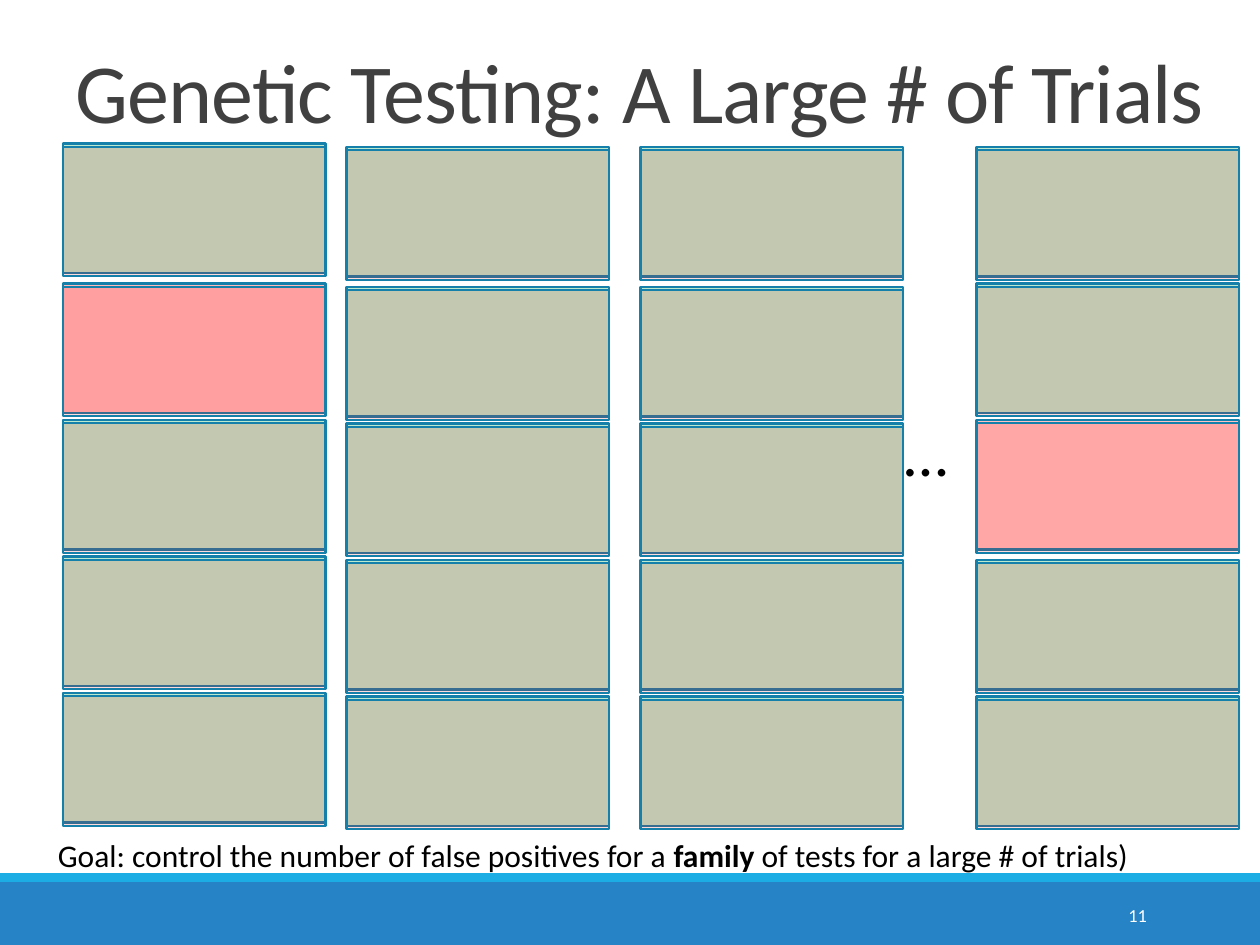
from itertools import product

from pptx import Presentation
from pptx.dml.color import RGBColor
from pptx.enum.shapes import MSO_SHAPE
from pptx.enum.text import MSO_ANCHOR, MSO_AUTO_SIZE as AUTO_SIZE, PP_ALIGN
from pptx.oxml.ns import qn
from pptx.util import Pt

BLUE = RGBColor(0x26, 0x83, 0xC6)
CYAN = RGBColor(0x1C, 0xAD, 0xE4)
OUTLINE = RGBColor(0x15, 0x80, 0xA9)
GREEN = RGBColor(0x00, 0xB0, 0x50)
RED = RGBColor(0xFF, 0x00, 0x00)
GRAY = RGBColor(0x40, 0x40, 0x40)
BLACK = RGBColor(0x00, 0x00, 0x00)
WHITE = RGBColor(0xFF, 0xFF, 0xFF)

COLUMN_LEFTS = (36, 198, 366, 558)
ROW_TOPS = (82, 162, 240, 318, 396)
TRIAL_SIZE = (150, 74)
POSITIVES = {(0, 1): 27, (3, 2): 24}
RAISED = {(0, row) for row in range(5)} | {(3, 1), (3, 2)}
OVERLAY_SHIFT = 1.8


class SlideBuilder:
    """Draw styled elements on one slide, with all lengths in points."""

    def __init__(self, slide, font_name="Calibri", line_width=1.25):
        self.slide = slide
        self.font_name = font_name
        self.line_width = line_width

    def place(self, shape, left, top, width, height):
        shape.left, shape.top = Pt(left), Pt(top)
        shape.width, shape.height = Pt(width), Pt(height)

    def format_run(self, run, size, color):
        run.font.name = self.font_name
        run.font.size = Pt(size)
        run.font.color.rgb = color

    def title(self, text, box):
        title = self.slide.shapes.title
        self.place(title, *box)
        frame = title.text_frame
        frame.text = text
        frame.auto_size = AUTO_SIZE.NONE
        frame.vertical_anchor = MSO_ANCHOR.BOTTOM
        paragraph = frame.paragraphs[0]
        paragraph.alignment = PP_ALIGN.LEFT
        paragraph.line_spacing = 0.85
        run = paragraph.runs[0]
        self.format_run(run, 48, GRAY)
        run.font._element.set("spc", "-50")

    def text(self, parts, box, size, color=BLACK, align=PP_ALIGN.LEFT,
             anchor=MSO_ANCHOR.TOP, bold_part=None):
        frame = self.slide.shapes.add_textbox(*map(Pt, box)).text_frame
        frame.word_wrap = True
        frame.vertical_anchor = anchor
        paragraph = frame.paragraphs[0]
        paragraph.alignment = align
        for part in parts:
            run = paragraph.add_run()
            run.text = part
            self.format_run(run, size, color)
            run.font.bold = part == bold_part

    def rectangle(self, box, fill, opacity=100, outline=None):
        shape = self.slide.shapes.add_shape(MSO_SHAPE.RECTANGLE, *map(Pt, box))
        shape.shadow.inherit = False
        shape.fill.solid()
        shape.fill.fore_color.rgb = fill
        if opacity < 100:
            color = shape.fill._xPr.find(qn("a:solidFill"))[0]
            alpha = color.makeelement(qn("a:alpha"), {"val": str(opacity * 1000)})
            color.append(alpha)
        if outline is None:
            shape.line.fill.background()
        else:
            shape.line.color.rgb = outline
            shape.line.width = Pt(self.line_width)

    def trial(self, column, row, fill, opacity, shift=0):
        top = ROW_TOPS[row] + shift + (0 if (column, row) in RAISED else 2)
        self.rectangle((COLUMN_LEFTS[column], top, *TRIAL_SIZE), fill, opacity, OUTLINE)


def main():
    presentation = Presentation()
    presentation.slide_width, presentation.slide_height = Pt(720), Pt(540)
    slide = presentation.slides.add_slide(presentation.slide_layouts[5])
    builder = SlideBuilder(slide)

    builder.rectangle((0, 504, 720, 36), BLUE)
    builder.rectangle((0, 499, 720, 5), CYAN)
    builder.title("Genetic Testing: A Large # of Trials", (36, 21.6, 684, 62.6))
    builder.text(["…"], (510, 232.6, 54, 51), 36)
    builder.text(
        ["Goal: control the number of false positives for a ", "family",
         " of tests for a large # of trials)"],
        (26, 474, 684, 29), 18, bold_part="family")

    trials = list(product(range(len(COLUMN_LEFTS)), range(len(ROW_TOPS))))
    for trial in trials:
        fill = RED if trial in POSITIVES else GREEN
        builder.trial(*trial, fill, POSITIVES.get(trial, 27))
    for trial in trials:
        builder.trial(*trial, RED, 14, OVERLAY_SHIFT)

    builder.text(["11"], (584.6, 508.3, 77.8, 28.8), 10.5, WHITE,
                 PP_ALIGN.RIGHT, MSO_ANCHOR.MIDDLE)
    presentation.save("out.pptx")


if __name__ == "__main__":
    main()
